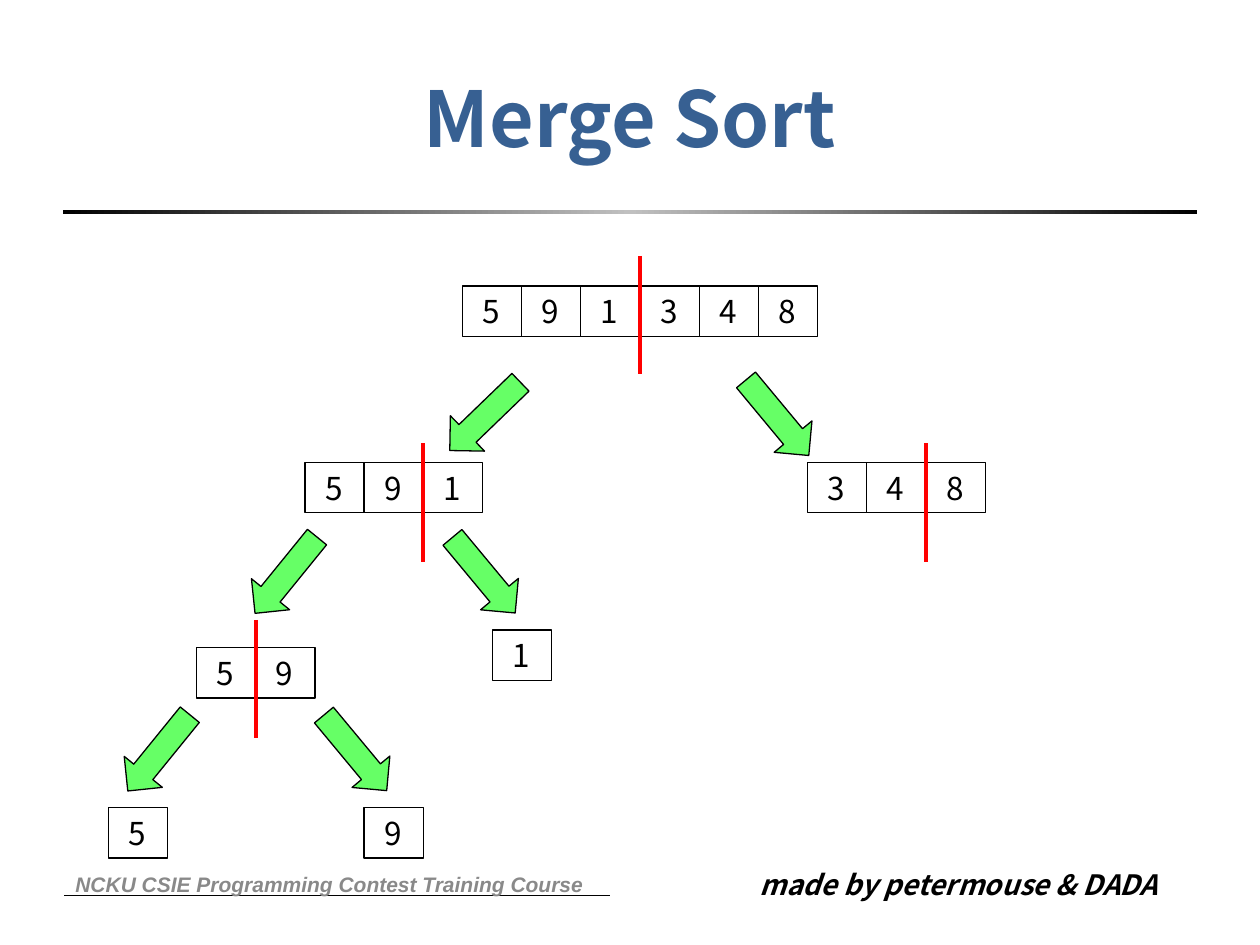
from lxml.etree import SubElement
from pptx import Presentation
from pptx.dml.color import RGBColor
from pptx.enum.shapes import MSO_CONNECTOR as Connector, MSO_SHAPE as Shape
from pptx.enum.text import MSO_ANCHOR as Anchor, PP_ALIGN as Align
from pptx.oxml.ns import qn
from pptx.util import Inches, Pt

WIDTH, HEIGHT, MARGIN = 10, 7.5, 0.5
CELL_W, CELL_H = 0.47, 0.4
ARROW_W, ARROW_H = 0.78, 0.39
DIVIDER_H = 0.94
FONT = "Noto Sans CJK SC"
COLORS = {
    "title": "376092", "ink": "000000", "paper": "FFFFFF", "rule": "C0C0C0",
    "footer": "898989", "split": "FF0000", "arrow": "66FF66",
}

TITLE = "Merge Sort"
COURSE = "NCKU CSIE Programming Contest Training Course"
AUTHORS = "made by petermouse & DADA"

# values, left, top, cells before the split, rise of the split line above the row
ARRAYS = [
    ("591348", 3.67, 2.27, 3, 0.24),
    ("591", 2.42, 3.67, 2, 0.15),
    ("348", 6.41, 3.67, 2, 0.15),
    ("1", 3.91, 5, None, 0),
    ("59", 1.56, 5.14, 1, 0.22),
    ("5", 0.86, 6.41, None, 0),
    ("9", 2.89, 6.41, None, 0),
]
# left, top, rotation
ARROWS = [
    (5.78, 3.12, 50.3), (3.46, 3.11, 136),
    (3.45, 4.37, 50.3), (1.88, 4.37, 129.1),
    (2.43, 5.78, 50.3), (0.87, 5.78, 129.1),
]


def color(name):
    return RGBColor.from_string(COLORS[name])


def write(shape, text, size, ink="ink", font=FONT, bold=False, italic=False,
          align=Align.LEFT, anchor=Anchor.TOP, left_inset=0.1, right_inset=0.1):
    frame = shape.text_frame
    frame.word_wrap = True
    frame.vertical_anchor = anchor
    frame.margin_left, frame.margin_right = Inches(left_inset), Inches(right_inset)
    frame.margin_top = frame.margin_bottom = Inches(0.05)
    para = frame.paragraphs[0]
    para.alignment = align
    span = para.add_run()
    span.text = text
    style = span.font
    style.name, style.size = font, Pt(size)
    style.bold, style.italic = bold, italic
    style.color.rgb = color(ink)
    properties = span._r.get_or_add_rPr()
    SubElement(properties, qn("a:ea")).set("typeface", font)


def add_box(shapes, kind, left, top, width, height, fill):
    box = shapes.add_shape(kind, *map(Inches, (left, top, width, height)))
    box.shadow.inherit = False
    box.fill.solid()
    box.fill.fore_color.rgb = color(fill)
    box.line.color.rgb = color("ink")
    box.line.width = Pt(0.75)
    return box


def add_line(shapes, x1, y1, x2, y2, ink, width):
    line = shapes.add_connector(Connector.STRAIGHT, *map(Inches, (x1, y1, x2, y2)))
    line.line.color.rgb = color(ink)
    line.line.width = Pt(width)
    SubElement(line._element.spPr, qn("a:effectLst"))


def add_label(shapes, text, left, top, width, height, **style):
    label = shapes.add_textbox(*map(Inches, (left, top, width, height)))
    write(label, text, bold=True, italic=True, **style)


def add_frame(page):
    """Title, the rule under it, and the footer."""
    shapes = page.shapes
    rule = add_box(shapes, Shape.RECTANGLE, MARGIN, 1.67, WIDTH - 2 * MARGIN, 0.03, "ink")
    rule.line.fill.background()
    rule.fill.gradient()
    rule.fill.gradient_angle = 0
    stops = rule.fill.gradient_stops
    for stop, position in zip(stops, (0, 0.5)):
        stop.position = position
    stops[0].color.rgb, stops[1].color.rgb = color("ink"), color("rule")
    stop_list = stops[0]._gs.getparent()
    last = SubElement(stop_list, qn("a:gs"), pos="100000")
    SubElement(last, qn("a:srgbClr"), val=COLORS["ink"])

    add_line(shapes, 0.51, 7.11, 4.84, 7.11, "ink", 0.5)
    add_label(shapes, AUTHORS, 5.93, 6.84, 3.39, 0.37, size=16)
    add_label(shapes, COURSE, MARGIN, 6.82, 4.26, 0.4, size=12, ink="footer",
              font="Arial", anchor=Anchor.MIDDLE)

    title = shapes.title
    title.left, title.top = Inches(MARGIN), Inches(0.3)
    title.width, title.height = Inches(WIDTH - 2 * MARGIN), Inches(1.25)
    write(title, TITLE, 44, "title", bold=True, align=Align.CENTER, anchor=Anchor.MIDDLE)


def add_array(shapes, values, left, top, split, rise):
    for column, value in enumerate(values):
        cell = add_box(shapes, Shape.RECTANGLE, left + column * CELL_W, top,
                       CELL_W, CELL_H, "paper")
        write(cell, value, 18, left_inset=0.16, right_inset=0)
    if split:
        x, y = left + split * CELL_W, top - rise
        add_line(shapes, x, y, x, y + DIVIDER_H, "split", 2.25)


def main():
    deck = Presentation()
    deck.slide_width, deck.slide_height = Inches(WIDTH), Inches(HEIGHT)
    page = deck.slides.add_slide(deck.slide_layouts[5])
    add_frame(page)
    for array in ARRAYS:
        add_array(page.shapes, *array)
    for left, top, rotation in ARROWS:
        arrow = add_box(page.shapes, Shape.RIGHT_ARROW, left, top, ARROW_W, ARROW_H, "arrow")
        arrow.rotation = rotation
    deck.save("out.pptx")


if __name__ == "__main__":
    main()
